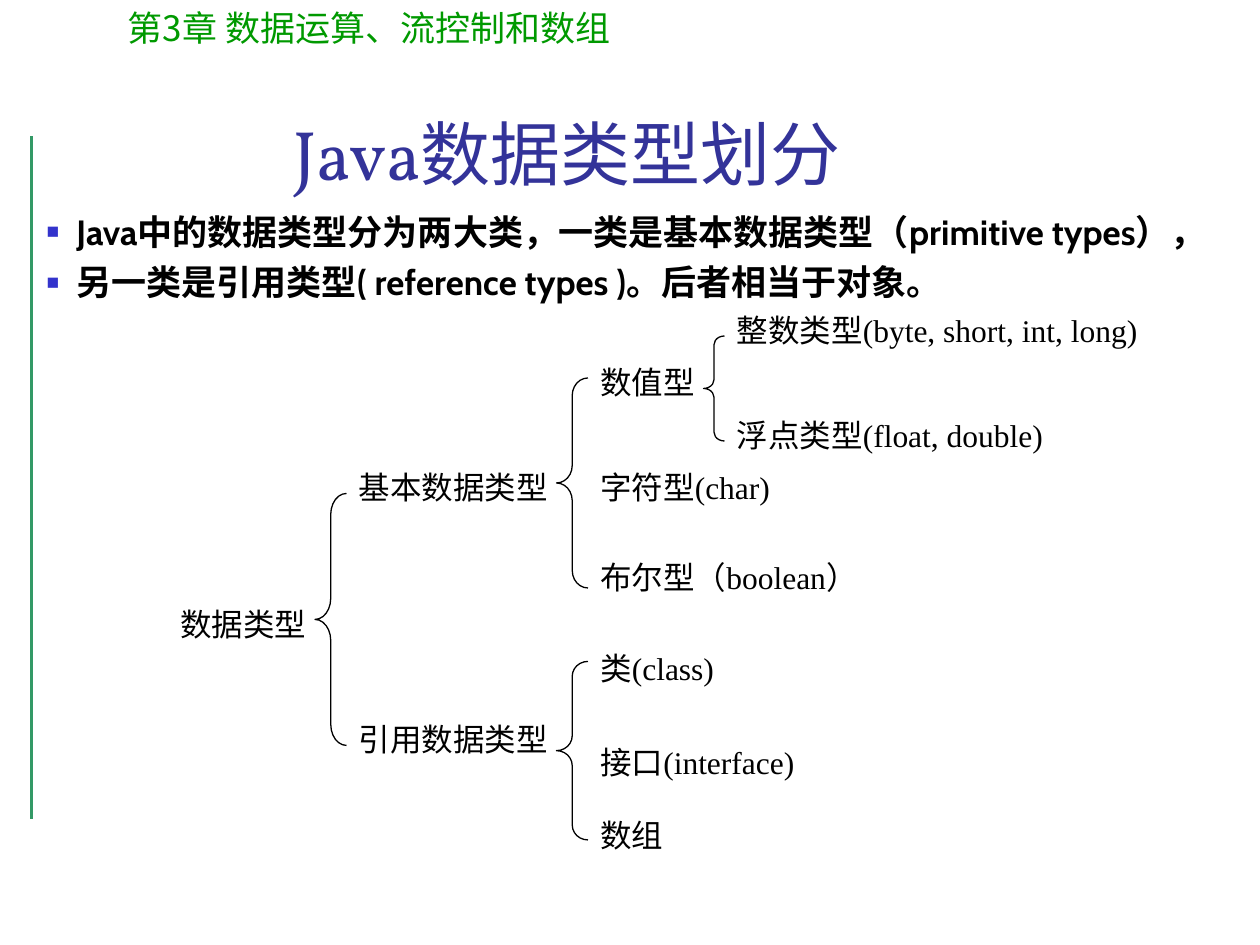
from lxml.etree import SubElement
from pptx import Presentation
from pptx.dml.color import RGBColor
from pptx.enum.shapes import MSO_CONNECTOR, MSO_SHAPE
from pptx.enum.text import MSO_ANCHOR, MSO_AUTO_SIZE, PP_ALIGN
from pptx.oxml.ns import qn
from pptx.util import Pt

COLORS = {
    "rule": "339966",
    "chapter": "009900",
    "title": "333399",
    "bullet": "3333CC",
    "ink": "000000",
}
CHINESE_FONT = "Noto Sans CJK SC"
CHAPTER = "第3章 数据运算、流控制和数组"
TITLE = "Java数据类型划分"
BULLETS = [
    "Java中的数据类型分为两大类，一类是基本数据类型（primitive types），",
    "另一类是引用类型( reference types )。后者相当于对象。",
]
LABEL_HEIGHT = 28.8
LABEL_COLUMNS = [
    (96, [("数据类型", 342, 126)]),
    (198, [("基本数据类型", 264, 126), ("引用数据类型", 408, 126)]),
    (336, [
        ("数值型", 204, 72),
        ("字符型(char)", 264, 144),
        ("布尔型（boolean）", 315.5, 250.5),
        ("类(class)", 367.5, 120),
        ("接口(interface)", 421, 144),
        ("数组", 463, 144),
    ]),
    (414, [
        ("整数类型(byte, short, int, long)", 174, 258),
        ("浮点类型(float, double)", 234, 258),
    ]),
]
BRACES = [
    (180, 282, 18, 144),
    (318, 216, 18, 120),
    (402, 192, 12, 60),
    (318, 378, 18, 102),
]


def color(name):
    return RGBColor.from_string(COLORS[name])


def place(shape, left, top, width, height):
    shape.left, shape.top = Pt(left), Pt(top)
    shape.width, shape.height = Pt(width), Pt(height)


def add_run(paragraph, text, size, font_name, color_name, bold=False):
    run = paragraph.add_run()
    run.text = text
    font = run.font
    font.size, font.name, font.bold = Pt(size), font_name, bold
    font.color.rgb = color(color_name)
    latin = run._r.get_or_add_rPr().find(qn("a:latin"))
    east_asian = latin.makeelement(qn("a:ea"), {"typeface": CHINESE_FONT})
    latin.addnext(east_asian)


def add_label(slide, text, box, size, font_name, color_name):
    label = slide.shapes.add_textbox(*(Pt(value) for value in box))
    label.text_frame.word_wrap = True
    add_run(label.text_frame.paragraphs[0], text, size, font_name, color_name)


def add_brace(slide, left, top, width, height):
    brace = slide.shapes.add_shape(
        MSO_SHAPE.LEFT_BRACE, Pt(left), Pt(top), Pt(width), Pt(height))
    brace.adjustments[0] = height / 12 / width
    brace.shadow.inherit = False
    brace.fill.background()
    brace.line.color.rgb = color("ink")
    brace.line.width = Pt(0.75)


def add_rule(slide):
    rule = slide.shapes.add_connector(
        MSO_CONNECTOR.STRAIGHT, Pt(18), Pt(78), Pt(18), Pt(468))
    rule.line.color.rgb = color("rule")
    rule.line.width = Pt(2.25)
    SubElement(rule._element.spPr, qn("a:effectLst"))


def fill_title(title):
    place(title, 42, 48, 564, 67)
    frame = title.text_frame
    frame.auto_size = MSO_AUTO_SIZE.NONE
    frame.vertical_anchor = MSO_ANCHOR.BOTTOM
    paragraph = frame.paragraphs[0]
    paragraph.alignment = PP_ALIGN.CENTER
    add_run(paragraph, TITLE, 40, "Vollkorn", "title")


def fill_body(body):
    place(body, 19.5, 116.5, 700, 60.5)
    frame = body.text_frame
    frame.auto_size = MSO_AUTO_SIZE.NONE
    for index, text in enumerate(BULLETS):
        paragraph = frame.add_paragraph() if index else frame.paragraphs[0]
        properties = paragraph._p.get_or_add_pPr()
        properties.set("marL", str(Pt(17)))
        properties.set("indent", str(-Pt(17)))
        bullet_color = SubElement(properties, qn("a:buClr"))
        SubElement(bullet_color, qn("a:srgbClr"), val=COLORS["bullet"])
        SubElement(properties, qn("a:buSzPct"), val="60000")
        SubElement(properties, qn("a:buChar"), char="■")
        paragraph.space_before = Pt(5 if index else 0)
        add_run(paragraph, text, 20, "Cabin", "ink", bold=True)


def main():
    """Build the slide on how Java data types are divided."""
    presentation = Presentation()
    presentation.slide_width, presentation.slide_height = Pt(720), Pt(540)
    slide = presentation.slides.add_slide(presentation.slide_layouts[1])
    title, body = slide.placeholders
    add_rule(slide)
    add_label(slide, CHAPTER, (66, 0, 595, 67.5), 20, CHINESE_FONT, "chapter")
    fill_title(title)
    fill_body(body)
    for left, labels in LABEL_COLUMNS:
        for text, top, width in labels:
            box = (left, top, width, LABEL_HEIGHT)
            add_label(slide, text, box, 18, "Times New Roman", "ink")
    for brace in BRACES:
        add_brace(slide, *brace)
    presentation.save("out.pptx")


if __name__ == "__main__":
    main()
